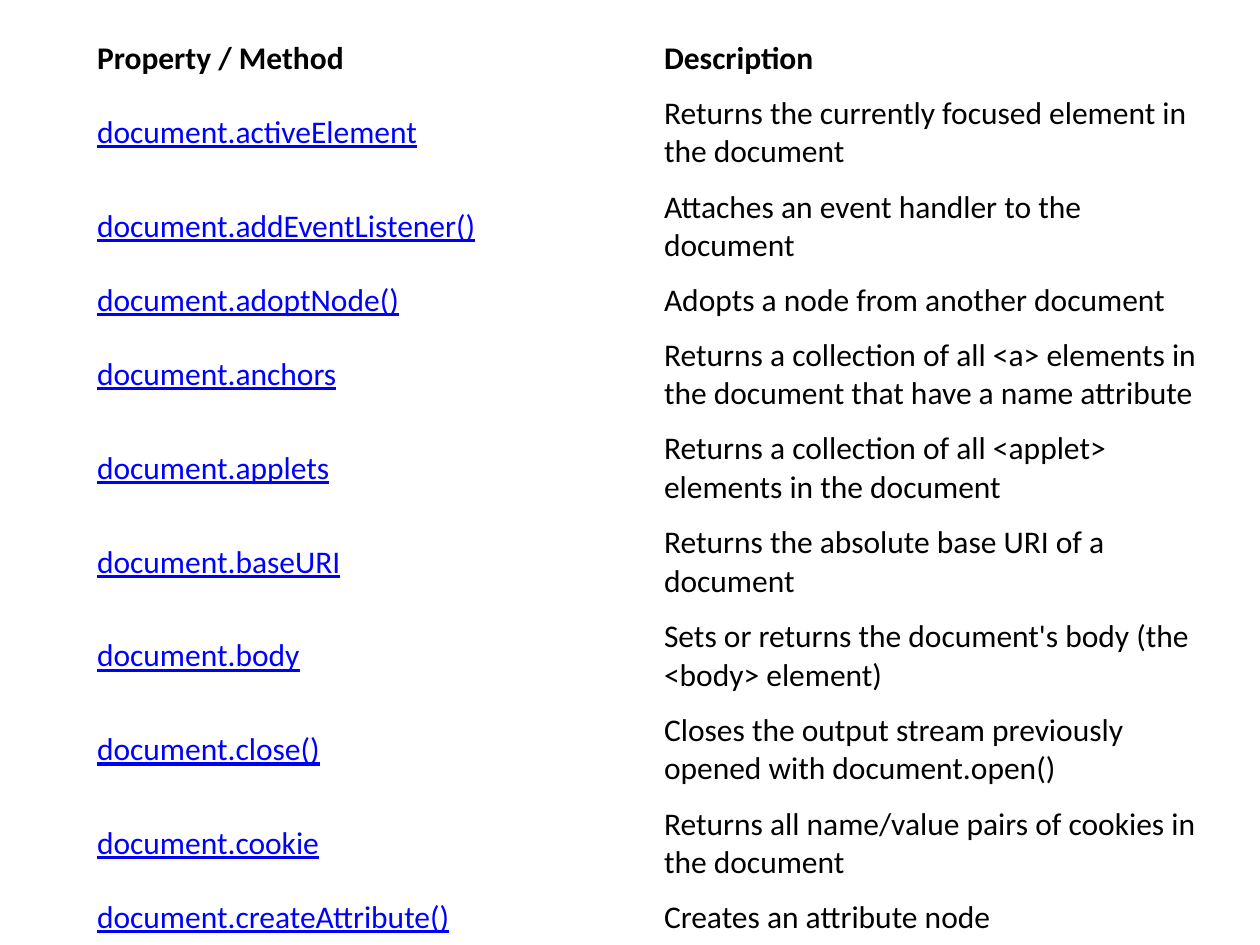
from pptx import Presentation
from pptx.dml.color import RGBColor
from pptx.enum.text import MSO_ANCHOR
from pptx.util import Inches, Pt


def color(hex_code):
    return RGBColor.from_string(hex_code)


members = [
    ("Property / Method", "Description"),
    ("document.activeElement", "Returns the currently focused element in the document"),
    ("document.addEventListener()", "Attaches an event handler to the document"),
    ("document.adoptNode()", "Adopts a node from another document"),
    ("document.anchors", "Returns a collection of all <a> elements in the document that have a name attribute"),
    ("document.applets", "Returns a collection of all <applet> elements in the document"),
    ("document.baseURI", "Returns the absolute base URI of a document"),
    ("document.body", "Sets or returns the document's body (the <body> element)"),
    ("document.close()", "Closes the output stream previously opened with document.open()"),
    ("document.cookie", "Returns all name/value pairs of cookies in the document"),
    ("document.createAttribute()", "Creates an attribute node"),
]
one_line_rows = {0, 3, 10}
one_line_height = 0.43
total_height = 7.25
two_line_height = (total_height - one_line_height * len(one_line_rows)) / (len(members) - len(one_line_rows))

prs = Presentation()
prs.slide_width = Inches(10)
prs.slide_height = Inches(7.5)
slide = prs.slides.add_slide(prs.slide_layouts[6])
slide.background.fill.solid()
slide.background.fill.fore_color.rgb = color("FFFFFF")

reference = slide.shapes.add_table(
    len(members), 2, Inches(0.67), Inches(0.25), Inches(9), Inches(total_height)
).table
reference.horz_banding = False
reference.first_row = False

for row, member in enumerate(members):
    reference.rows[row].height = Inches(one_line_height if row in one_line_rows else two_line_height)
    for column, wording in enumerate(member):
        is_member_name = row > 0 and column == 0
        cell = reference.cell(row, column)
        cell.fill.background()
        cell.vertical_anchor = MSO_ANCHOR.MIDDLE
        cell.text = wording
        font = cell.text_frame.paragraphs[0].font
        font.name = "Calibri"
        font.size = Pt(18)
        font.bold = row == 0
        font.underline = is_member_name
        font.color.rgb = color("0000FF" if is_member_name else "000000")

prs.save("out.pptx")
